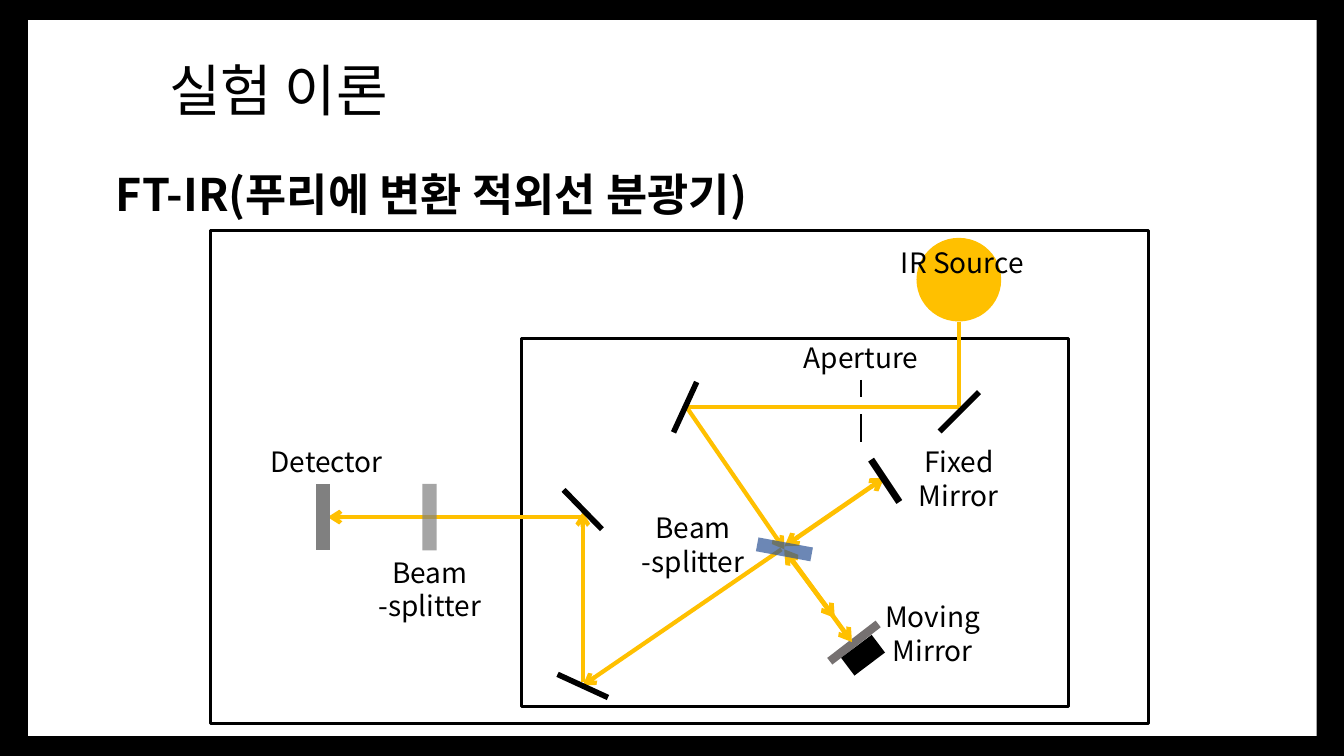
from lxml.etree import SubElement
from pptx import Presentation
from pptx.dml.color import RGBColor
from pptx.enum.shapes import MSO_CONNECTOR, MSO_SHAPE
from pptx.enum.text import MSO_ANCHOR, MSO_AUTO_SIZE, PP_ALIGN
from pptx.oxml.ns import qn
from pptx.util import Inches, Pt

COLORS = {"ink": "000000", "paper": "FFFFFF", "beam": "FFC000", "gray": "808080",
          "plate": "767171", "splitter": "2F5597"}


class Diagram:
    """Draws styled elements on one slide, measured on a grid of ten cells per inch."""

    font = "Noto Sans CJK KR"

    def __init__(self, slide):
        self.s = slide

    def cells(self, *values):
        return [Inches(v / 10) for v in values]

    def color(self, name):
        return RGBColor.from_string(COLORS[name])

    def set_text(self, sp, text, size=20, align=PP_ALIGN.CENTER, bold=False, spacing=1):
        tf = sp.text_frame
        tf.word_wrap = True
        tf.auto_size = MSO_AUTO_SIZE.NONE
        tf.vertical_anchor = MSO_ANCHOR.TOP
        tf.text = text
        for p in tf.paragraphs:
            p.alignment = align
            p.line_spacing = spacing
            p.font.size = Pt(size)
            p.font.bold = bold
            p.font.color.rgb = self.color("ink")
            p.font.name = self.font
            SubElement(p.font._element, qn("a:ea"), typeface=self.font)

    def title(self, text, box):
        sp = self.s.shapes.title
        sp.left, sp.top, sp.width, sp.height = self.cells(*box)
        self.set_text(sp, text, 40, PP_ALIGN.LEFT)

    def label(self, text, box, **style):
        sp = self.s.shapes.add_textbox(*self.cells(*box))
        self.set_text(sp, text, **style)

    def shape(self, kind, box, fill=None, line=None, angle=0):
        sp = self.s.shapes.add_shape(kind, *self.cells(*box))
        sp.shadow.inherit = False
        sp.rotation = angle
        if fill:
            sp.fill.solid()
            sp.fill.fore_color.rgb = self.color(fill)
        else:
            sp.fill.background()
        if line:
            sp.line.color.rgb = self.color(line)
            sp.line.width = Pt(2)
        else:
            sp.line.fill.background()
        return sp

    def line(self, ends, color="ink", width=4, arrows=(), opacity=100):
        cx = self.s.shapes.add_connector(MSO_CONNECTOR.STRAIGHT, *self.cells(*ends))
        cx.line.color.rgb = self.color(color)
        cx.line.width = Pt(width)
        ln = cx._element.spPr.find(qn("a:ln"))
        if opacity < 100:
            SubElement(ln.find(".//" + qn("a:srgbClr")), qn("a:alpha"), val=str(opacity * 1000))
        for end in arrows:
            SubElement(ln, qn(f"a:{end}"), type="arrow")
        SubElement(cx._element.spPr, qn("a:effectLst"))


def main():
    prs = Presentation()
    prs.slide_width, prs.slide_height = Inches(13.33), Inches(7.5)
    s = prs.slides.add_slide(prs.slide_layouts[5])
    d = Diagram(s)
    s.background.fill.solid()
    s.background.fill.fore_color.rgb = d.color("ink")

    panel = d.shape(MSO_SHAPE.RECTANGLE, (2.8, 2, 127.8, 71), fill="paper")
    s.shapes._spTree.insert(2, panel._element)
    d.title("실험 이론", (15.8, 5, 29.1, 7.7))
    d.label("FT-IR(푸리에 변환 적외선 분광기)", (10.5, 13.4, 111.8, 8.1),
            size=32, align=PP_ALIGN.LEFT, bold=True, spacing=1.5)

    for frame in ((20.9, 22.9, 93, 48.9), (51.7, 33.6, 54.3, 36.5)):
        d.shape(MSO_SHAPE.RECTANGLE, frame, line="ink")
    d.shape(MSO_SHAPE.OVAL, (90.9, 23.6, 8.4, 8.3), fill="beam")

    one_way, both_ways = ("tailEnd",), ("headEnd", "tailEnd")
    beams = [
        ((95.1, 31.9, 95.1, 40.4), 3, ()),
        ((95.1, 40.4, 68.2, 40.4), 3, ()),
        ((68.1, 40.4, 77.8, 54.5), 3, one_way),
        ((77.5, 54.5, 57.8, 68), 3, one_way),
        ((77.8, 54.2, 87.7, 47.4), 3.25, both_ways),
        ((57.8, 67.7, 57.8, 50.8), 3, one_way),
        ((57.8, 51.3, 32.5, 51.3), 3, one_way),
    ]
    for ends, width, arrows in beams:
        d.line(ends, "beam", width, arrows)

    mirrors = [(97.1, 38.9, 93.2, 42.8), (66.8, 42.9, 69.1, 37.9),
               (60.3, 69.2, 55.3, 66.9), (59.7, 52.5, 55.9, 48.6)]
    for mirror in mirrors:
        d.line(mirror)
    d.line((86.4, 45.6, 89.2, 49.8), width=5)
    for top, bottom in ((37.7, 39.4), (41.1, 43.9)):
        d.line((85.4, top, 85.4, bottom), width=2)

    d.line((82.3, 65.6, 87.1, 61.9), "plate", 6)
    d.shape(MSO_SHAPE.RECTANGLE, (83.7, 63.9, 3.8, 2.2), fill="ink", angle=323)
    for ends in ((77.8, 54.5, 84.5, 63.7), (77.8, 54.6, 82.8, 61.3)):
        d.line(ends, "beam", 3.25, both_ways)

    for x, opacity in ((42.6, 70), (32, 100)):
        d.line((x, 48, x, 54.6), "gray", 10, opacity=opacity)
    d.line((80.5, 55, 75.1, 54), "splitter", 10, opacity=69)

    labels = [
        ("IR Source", (88.2, 23.9, 14.5, 7.7)),
        ("Aperture", (77.4, 33.3, 16, 4.4)),
        ("Fixed Mirror", (87.1, 43.6, 16, 7.7)),
        ("Moving Mirror", (84.5, 59, 16, 7.7)),
        ("Beam\n-splitter", (61.6, 50.2, 14.3, 7.7)),
        ("Beam\n-splitter", (35.5, 54.6, 14.3, 7.7)),
        ("Detector", (24.9, 43.6, 15, 4.4)),
    ]
    for text, box in labels:
        d.label(text, box)
    prs.save("out.pptx")


if __name__ == "__main__":
    main()
